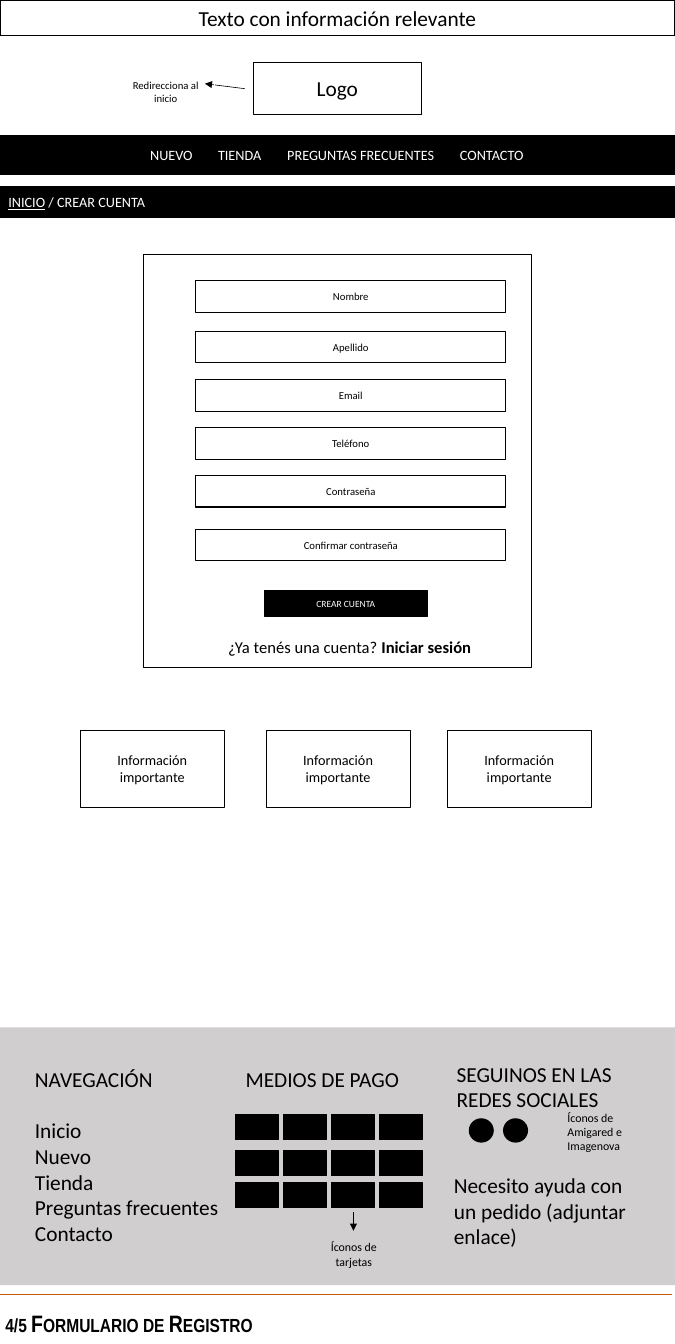
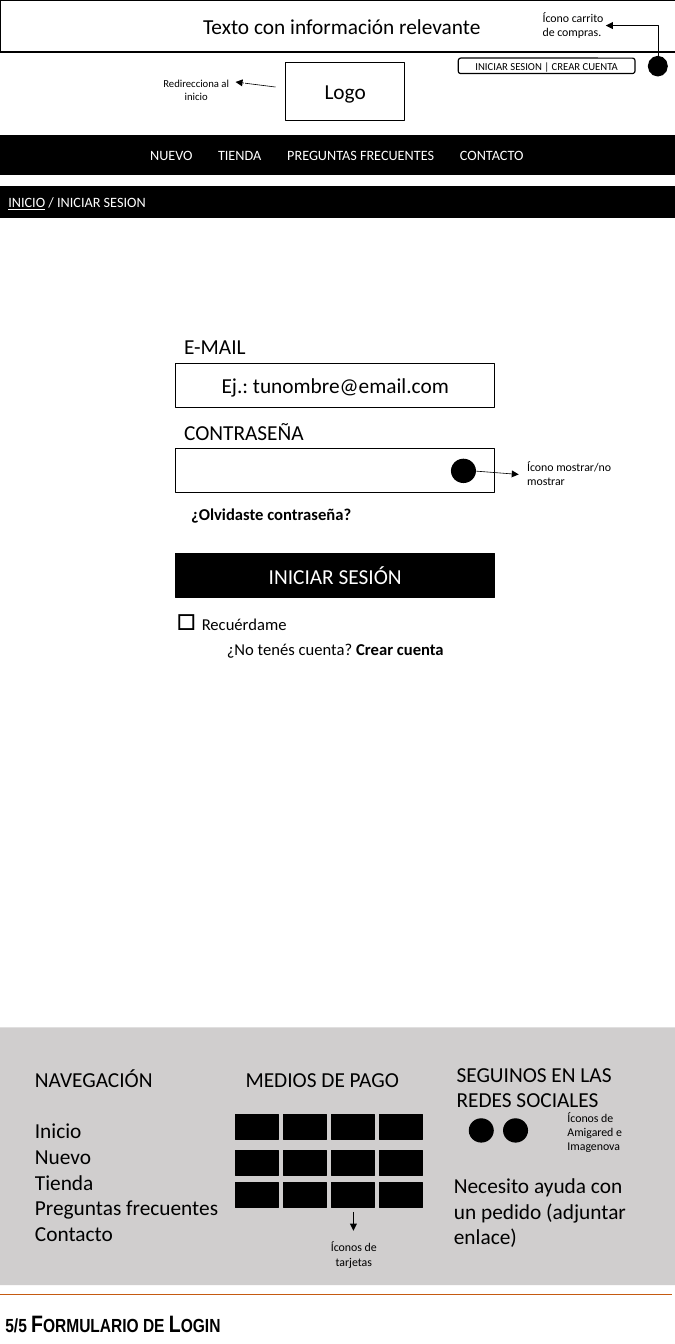
from dataclasses import dataclass
from itertools import product

from lxml.etree import SubElement
from pptx import Presentation
from pptx.dml.color import RGBColor
from pptx.enum.shapes import MSO_CONNECTOR as LINK, MSO_SHAPE as SHAPE
from pptx.enum.text import MSO_ANCHOR as ANCHOR, PP_ALIGN as ALIGN
from pptx.oxml.ns import qn
from pptx.util import Cm, Pt


@dataclass(frozen=True)
class Theme:
    black: str = "000000"
    white: str = "FFFFFF"
    gray: str = "D0CECE"
    rule: str = "C55A11"
    font: str = "Calibri"
    title_font: str = "Arial Narrow"
    title: int = 20
    large: int = 18
    medium: int = 14
    small: int = 12
    note: int = 10
    field: int = 9
    button: int = 8


theme = Theme()

# Content shared by both slides (lengths in centimetres)
WIDTH, HEIGHT = 20.09, 40
BANNER = "Texto con información relevante"
LOGO = "Logo"
LOGO_HINT = "Redirecciona al inicio"
MENU = [("NUEVO", 4.47), ("TIENDA", 6.49),
        ("PREGUNTAS FRECUENTES", 8.55), ("CONTACTO", 13.69)]
HOME = "INICIO"
SITE_MAP = ["NAVEGACIÓN", "Inicio", "Nuevo", "Tienda",
            "Preguntas frecuentes", "Contacto"]
PAYMENTS = "MEDIOS DE PAGO"
PAYMENT_HINT = "Íconos de tarjetas"
PAYMENT_ROWS = [33.17, 34.24, 35.2]
SOCIAL = "SEGUINOS EN LAS REDES SOCIALES"
SOCIAL_HINT = "Íconos de Amigared e Imagenova"
HELP = "Necesito ayuda con un pedido (adjuntar enlace)"

# Content of each slide
REGISTER = dict(
    title="4/5 Formulario de Registro", crumb="CREAR CUENTA",
    banner=(0, 0, WIDTH, 1.07), logo=(7.54, 1.85, 5, 1.55),
    hint=(3.48, 1.78), arrow=(7.29, 2.64))
FIELDS = [("Nombre", 8.36), ("Apellido", 9.86), ("Email", 11.3),
          ("Teléfono", 12.73), ("Contraseña", 14.15),
          ("Confirmar contraseña", 15.75)]
CREATE = "CREAR CUENTA"
HAS_ACCOUNT = ("¿Ya tenés una cuenta?", " Iniciar sesión")
INFO = "Información importante"
INFO_LEFTS = [2.39, 7.92, 13.31]

LOGIN = dict(
    title="5/5 Formulario de Login", crumb="INICIAR SESION",
    banner=(0, 0, 20.35, 1.55), logo=(8.51, 1.85, 3.53, 1.73),
    hint=(4.39, 1.73), arrow=(8.2, 2.59))
ACCOUNT_LINKS = "INICIAR SESION | CREAR CUENTA"
CART_HINT = "Ícono carrito de compras."
CREDENTIALS = [("E-MAIL", "Ej.: tunombre@email.com"), ("CONTRASEÑA", "")]
EYE_HINT = "Ícono mostrar/no mostrar"
FORGOT = "¿Olvidaste contraseña?"
ENTER = "INICIAR SESIÓN"
REMEMBER = [("□", 28), (" ", theme.title), ("Recuérdame", theme.medium)]
NO_ACCOUNT = ("¿No tenés cuenta?", " Crear cuenta")


# Drawing helpers
def rgb(color):
    return RGBColor.from_string(color)


def write(frame, paragraphs, size, color=theme.black, align=ALIGN.LEFT,
          font=theme.font):
    """Fill a frame; each paragraph is a string or a sequence of runs."""
    frame.word_wrap = True
    for index, runs in enumerate(paragraphs):
        para = frame.add_paragraph() if index else frame.paragraphs[0]
        para.alignment = align
        para.font.name, para.font.size = font, Pt(size)
        para.font.color.rgb = rgb(color)
        for words in [runs] if isinstance(runs, str) else runs:
            para.add_run().text = words
    return frame.paragraphs


def box(slide, area, text="", size=theme.large, fill=theme.white,
        line=theme.black, weight=1, kind=SHAPE.RECTANGLE, align=ALIGN.CENTER):
    shape = slide.shapes.add_shape(kind, *map(Cm, area))
    shape.shadow.inherit = False
    if fill:
        shape.fill.solid()
        shape.fill.fore_color.rgb = rgb(fill)
    else:
        shape.fill.background()
    if line:
        shape.line.color.rgb, shape.line.width = rgb(line), Pt(weight)
    else:
        shape.line.fill.background()
    if text:
        shape.text_frame.vertical_anchor = ANCHOR.MIDDLE
        ink = theme.white if fill == theme.black else theme.black
        write(shape.text_frame, [text], size, ink, align)
    return shape


def dot(slide, left, top, width=0.71, height=0.69):
    return box(slide, (left, top, width, height), fill=theme.black,
               kind=SHAPE.OVAL)


def label(slide, area, paragraphs, size=theme.large, **style):
    frame = slide.shapes.add_textbox(*map(Cm, area)).text_frame
    return write(frame, paragraphs, size, **style)


def connect(slide, start, end, arrow="tailEnd", color=theme.black, weight=0.5):
    link = slide.shapes.add_connector(LINK.STRAIGHT, *map(Cm, start + end))
    link.line.color.rgb, link.line.width = rgb(color), Pt(weight)
    if arrow:
        SubElement(link.line._get_or_add_ln(), qn("a:" + arrow), type="triangle")
    SubElement(link._element.spPr, qn("a:effectLst"))
    return link


def account_prompt(slide, area, runs):
    para = label(slide, area, [runs], theme.medium, align=ALIGN.CENTER)[0]
    para.runs[1].font.bold = True


# Parts shared by both slides
def add_header(slide, page):
    box(slide, page["banner"], BANNER, fill=None)
    box(slide, page["logo"], LOGO)
    x, y = page["arrow"]
    connect(slide, (x, y), (x - 1.19, y - 0.15))
    box(slide, page["hint"] + (2.9, 1.88), LOGO_HINT, theme.field, fill=None,
        line=theme.white)

    menu = box(slide, (0, 4.04, WIDTH, 1.14),
               "".join("\t" + name for name, _ in MENU), theme.small,
               fill=theme.black, align=ALIGN.LEFT)
    menu.text_frame.margin_left = 0
    properties = menu.text_frame.paragraphs[0]._p.get_or_add_pPr()
    stops = properties.makeelement(qn("a:tabLst"), {})
    properties.insert(0, stops)
    for _, stop in MENU:
        SubElement(stops, qn("a:tab"), pos=str(Cm(stop)), algn="l")

    crumbs = box(slide, (0, 5.56, WIDTH, 0.91), (HOME, " / " + page["crumb"]),
                 theme.small, fill=theme.black, align=ALIGN.LEFT)
    crumbs.text_frame.paragraphs[0].runs[0].font.underline = True


def add_footer(slide, page):
    box(slide, (0, 30.58, WIDTH, 7.67), fill=theme.gray, line=None)
    site_map = label(slide, (0.79, 31.6, 6.3, 5.64), SITE_MAP)
    site_map[0].space_after = Pt(22)

    label(slide, (7.06, 31.6, 6.3, 1.02), [PAYMENTS])
    for top, column in product(PAYMENT_ROWS, range(4)):
        box(slide, (7.01 + 1.43 * column, top, 1.27, 0.74), fill=theme.black)
    connect(slide, (10.52, 36.07), (10.52, 36.63))
    label(slide, (9.4, 36.78, 2.26, 1.12), [PAYMENT_HINT], theme.note,
          align=ALIGN.CENTER)

    label(slide, (13.34, 31.45, 6.3, 2.57), [SOCIAL])
    for left in (13.97, 14.99):
        dot(slide, left, 33.3)
    label(slide, (16.64, 32.92, 2.26, 1.55), [SOCIAL_HINT], theme.note)
    label(slide, (13.26, 34.77, 6.32, 3.33), [HELP])

    connect(slide, (0, 38.53), (19.99, 38.53), None, theme.rule, 1)
    title = label(slide, (-0.09, 38.83, 16.64, 1.12), [page["title"]],
                  theme.title, font=theme.title_font)[0]
    title.font.bold = True
    title.runs[0]._r.get_or_add_rPr().set("cap", "small")


# Registration form
def add_register(slide):
    box(slide, (4.27, 7.57, 11.56, 12.29))
    for name, top in FIELDS:
        box(slide, (5.83, top, 9.22, 0.94), name, theme.field)
    box(slide, (7.87, 17.58, 4.85, 0.76), CREATE, theme.button,
        fill=theme.black)
    account_prompt(slide, (5.66, 18.82, 9.5, 0.86), HAS_ACCOUNT)
    for left in INFO_LEFTS:
        box(slide, (left, 21.72, 4.29, 2.29), INFO, theme.small, weight=0.25)


# Login form
def add_login(slide):
    box(slide, (13.64, 1.73, 5.26, 0.46), ACCOUNT_LINKS, theme.field,
        kind=SHAPE.ROUNDED_RECTANGLE)
    dot(slide, 19.3, 1.68, 0.56, 0.58)
    cart_link = connect(slide, (18.03, 0.76), (19.58, 1.68), "headEnd")
    cart_link._element.spPr.find(qn("a:prstGeom")).set("prst", "bentConnector2")
    label(slide, (15.9, 0.2, 2.41, 1.12), [CART_HINT], theme.note)

    left, width, height = 5.23, 9.5, 1.3
    for index, (name, example) in enumerate(CREDENTIALS):
        top = 9.8 + 2.54 * index
        label(slide, (left, top, 5.28, 1.02), [name])
        box(slide, (left, top + 1.02, width, height), example)
    dot(slide, 13.44, 13.67)
    connect(slide, (14.15, 14.02), (15.44, 14.12))
    label(slide, (15.44, 13.56, 3.84, 1.12), [EYE_HINT], theme.note)

    forgot = label(slide, (5.44, 14.88, 6.73, 0.86), [FORGOT], theme.medium)
    forgot[0].font.bold = True
    box(slide, (left, 16.48, width, height), ENTER, fill=theme.black)
    remember = label(slide, (5, 17.65, 6.73, 1.45),
                     [[words for words, _ in REMEMBER]])[0]
    for run, (_, size) in zip(remember.runs, REMEMBER):
        run.font.size = Pt(size)
    account_prompt(slide, (left, 18.9, width, 0.86), NO_ACCOUNT)


# Build the deck
deck = Presentation()
deck.slide_width, deck.slide_height = Cm(WIDTH), Cm(HEIGHT)
for page, add_form in ((REGISTER, add_register), (LOGIN, add_login)):
    slide = deck.slides.add_slide(deck.slide_layouts[6])
    add_header(slide, page)
    add_form(slide)
    add_footer(slide, page)
deck.save("out.pptx")
